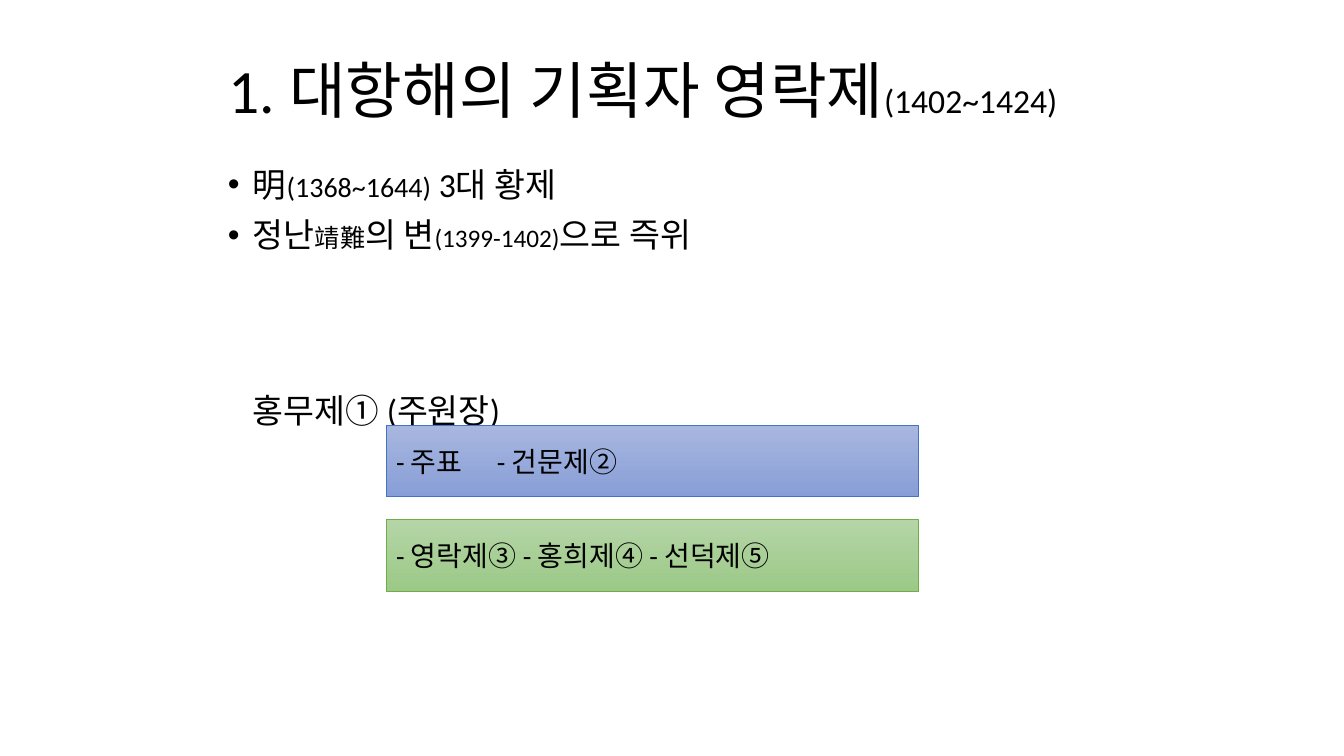
from dataclasses import dataclass
from typing import NamedTuple

from lxml import etree
from pptx import Presentation
from pptx.dml.color import RGBColor
from pptx.enum.shapes import MSO_SHAPE
from pptx.enum.text import MSO_ANCHOR, MSO_AUTO_SIZE, PP_ALIGN
from pptx.oxml.ns import qn
from pptx.util import Pt

RECT = MSO_SHAPE.RECTANGLE
LEFT = PP_ALIGN.LEFT
TOP, MIDDLE = MSO_ANCHOR.TOP, MSO_ANCHOR.MIDDLE
NO_FIT = MSO_AUTO_SIZE.NONE

BLACK = RGBColor(0x00, 0x00, 0x00)
BLUE = RGBColor(0x44, 0x72, 0xC4)
BLUE_TOP = RGBColor(0xA8, 0xB7, 0xDF)
BLUE_END = RGBColor(0x88, 0x9E, 0xD7)
GREEN = RGBColor(0x70, 0xAD, 0x47)
GREEN_TOP = RGBColor(0xB5, 0xD5, 0xA7)
GREEN_END = RGBColor(0x9C, 0xC9, 0x87)

FONT = "Calibri"
INDENT = Pt(18)
BAR_X, BAR_Y, BAR_W, BAR_H, BAR_STEP = 275.8, 303.8, 380.2, 51.1, 67.3


class Piece(NamedTuple):
    text: str
    size: float


@dataclass
class Item:
    words: list[Piece]
    before: float = 0
    lines: float = 0.9
    bullet: bool = True


@dataclass
class Bar:
    text: str
    edge: RGBColor
    start: RGBColor
    end: RGBColor


TITLE = [Piece("1. 대항해의 기획자 영락제", 44), Piece("(1402~1424)", 24)]

ITEMS = [
    Item([Piece("明", 24), Piece("(1368~1644)", 20), Piece(" 3대 황제", 24)]),
    Item([Piece("정난", 24), Piece("靖難", 18), Piece("의 변", 24),
          Piece("(1399-1402)", 18), Piece("으로 즉위", 24)], before=10),
    Item([Piece("홍무제① (주원장)", 24)], before=82, lines=1.5, bullet=False),
]

BARS = [
    Bar("- 주표\t- 건문제②", BLUE, BLUE_TOP, BLUE_END),
    Bar("- 영락제③ - 홍희제④ - 선덕제⑤", GREEN, GREEN_TOP, GREEN_END),
]


def place(shape, x: float, y: float, w: float, h: float) -> None:
    shape.left, shape.top = Pt(x), Pt(y)
    shape.width, shape.height = Pt(w), Pt(h)


def set_frame(frame, anchor) -> None:
    frame.word_wrap = True
    frame.auto_size = NO_FIT
    frame.vertical_anchor = anchor


def write(para, words: list[Piece]) -> None:
    para.alignment = LEFT
    para.font.name = FONT
    para.font.color.rgb = BLACK
    for piece in words:
        run = para.add_run()
        run.text = piece.text
        if len(words) > 1:
            run.font.size = Pt(piece.size)
    if len(words) == 1:
        para.font.size = Pt(words[0].size)


def add_item(para, item: Item) -> None:
    para.line_spacing = item.lines
    para.space_before = Pt(item.before)
    props = para._p.get_or_add_pPr()
    props.set("marL", str(INDENT))
    props.set("indent", str(-INDENT if item.bullet else 0))
    if item.bullet:
        etree.SubElement(props, qn("a:buChar")).set("char", "•")
    else:
        etree.SubElement(props, qn("a:buNone"))
    write(para, item.words)


def add_bar(slide, bar: Bar, y: float) -> None:
    shape = slide.shapes.add_shape(RECT, Pt(BAR_X), Pt(y), Pt(BAR_W), Pt(BAR_H))
    shape.shadow.inherit = False
    shape.fill.gradient()
    shape.fill.gradient_angle = 270
    for stop, tint in zip(shape.fill.gradient_stops, (bar.start, bar.end)):
        stop.color.rgb = tint
    shape.line.color.rgb = bar.edge
    shape.line.width = Pt(0.5)
    set_frame(shape.text_frame, MIDDLE)
    write(shape.text_frame.paragraphs[0], [Piece(bar.text, 20)])


def main() -> None:
    deck = Presentation()
    deck.slide_width, deck.slide_height = Pt(960), Pt(540)
    slide = deck.slides.add_slide(deck.slide_layouts[1])
    title, body = slide.placeholders

    # Title
    place(title, 156, 21.6, 658.8, 90)
    set_frame(title.text_frame, MIDDLE)
    head = title.text_frame.paragraphs[0]
    head.line_spacing = 0.9
    write(head, TITLE)

    # List
    place(body, 155.5, 116.6, 648, 356.4)
    frame = body.text_frame
    set_frame(frame, TOP)
    for i, item in enumerate(ITEMS):
        add_item(frame.add_paragraph() if i else frame.paragraphs[0], item)

    # Lines of descent
    for i, bar in enumerate(BARS):
        add_bar(slide, bar, BAR_Y + i * BAR_STEP)

    deck.save("out.pptx")


if __name__ == "__main__":
    main()
